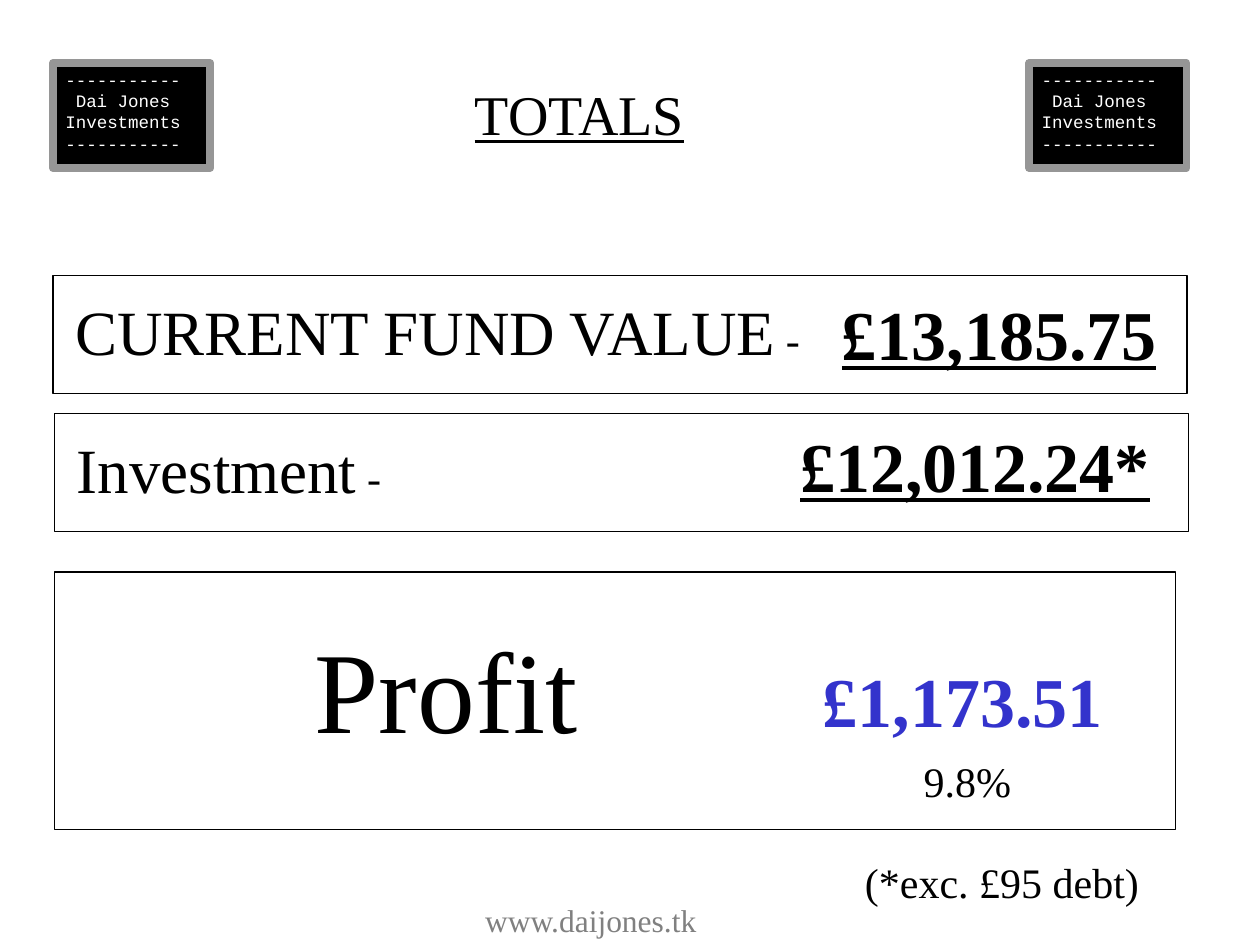
import pptx
import pptx.util
import pptx.dml.color
import pptx.enum.shapes
import pptx.enum.text

Cm = pptx.util.Cm
Pt = pptx.util.Pt
ALIGN = pptx.enum.text.PP_ALIGN
HUES = {
    "ink": "000000",
    "paper": "FFFFFF",
    "frame": "969696",
    "gain": "3333CC",
    "web": "808080",
}


def tint(name):
    """Return the named colour."""
    return pptx.dml.color.RGBColor.from_string(HUES[name])


def add_run(para, text, size, hue="ink", font="Times New Roman", bold=False, under=False):
    """Add one formatted run to a paragraph."""
    run = para.add_run()
    run.text = text
    run.font.name = font
    run.font.size = Pt(size)
    run.font.bold = bold
    run.font.underline = under
    run.font.color.rgb = tint(hue)


def set_frame(frame):
    """Give a text frame its insets, anchor and wrapping."""
    frame.word_wrap = True
    frame.auto_size = pptx.enum.text.MSO_AUTO_SIZE.NONE
    frame.vertical_anchor = pptx.enum.text.MSO_ANCHOR.TOP
    frame.margin_left = frame.margin_right = Cm(0.25)
    frame.margin_top = frame.margin_bottom = Cm(0.13)


def add_title(slide, text):
    """Move and format the title placeholder."""
    title = slide.shapes.title
    title.left, title.top = Cm(9.32), Cm(1.47)
    title.width, title.height = Cm(5.51), Cm(1.63)
    set_frame(title.text_frame)
    para = title.text_frame.paragraphs[0]
    para.alignment = ALIGN.LEFT
    add_run(para, text, 32, under=True)


def add_box(slide, x, y, w, h, line="ink", width=0.75, fill=None):
    """Add a framed rectangle."""
    kind = pptx.enum.shapes.MSO_SHAPE.RECTANGLE
    box = slide.shapes.add_shape(kind, Cm(x), Cm(y), Cm(w), Cm(h))
    box.shadow.inherit = False
    box.line.color.rgb = tint(line)
    box.line.width = Pt(width)
    if fill:
        box.fill.solid()
        box.fill.fore_color.rgb = tint(fill)
    else:
        box.fill.background()
    return box


def add_text(slide, x, y, w, h, runs, align=ALIGN.LEFT):
    """Add a text box holding one paragraph of runs."""
    box = slide.shapes.add_textbox(Cm(x), Cm(y), Cm(w), Cm(h))
    set_frame(box.text_frame)
    para = box.text_frame.paragraphs[0]
    para.alignment = align
    for text, size, style in runs:
        add_run(para, text, size, **style)


def add_sign(slide, x):
    """Add a black name sign."""
    sign = add_box(slide, x, 1.27, 3.17, 2.12, "frame", 4.5, "ink")
    frame = sign.text_frame
    set_frame(frame)
    rule = "-" * 11
    rows = [(rule, 0), ("Dai Jones", 0.21), ("Investments", 0), (rule, 0)]
    for i, (text, inset) in enumerate(rows):
        para = frame.add_paragraph() if i else frame.paragraphs[0]
        para.alignment = ALIGN.LEFT
        para._p.get_or_add_pPr().set("marL", str(Cm(inset)))
        add_run(para, text, 10, "paper", "Courier New")


def add_row(slide, x, y, label, value, left, top):
    """Add a framed row with a label and an amount."""
    add_box(slide, x, y, 22.86, 2.38)
    add_text(slide, x + 0.2, y + 0.21, 16, 1.78, [(label, 36, {}), (" -", 24, {})])
    style = {"bold": True, "under": True}
    add_text(slide, left, top, 7.8, 1.95, [(value, 40, style)])


def add_profit(slide):
    """Add the framed profit panel."""
    add_box(slide, 1.1, 11.53, 22.6, 5.2)
    mid = ALIGN.CENTER
    add_text(slide, 2.7, 12.33, 12.59, 3.04, [("Profit", 66, {})], mid)
    style = {"bold": True, "hue": "gain"}
    add_text(slide, 15.7, 13.12, 7.41, 1.95, [("£1,173.51", 40, style)], mid)
    add_text(slide, 17.3, 15.1, 4.4, 1.27, [("9.8%", 24, {})], mid)


def main():
    """Build and save the totals slide."""
    deck = pptx.Presentation()
    deck.slide_width, deck.slide_height = Cm(25.4), Cm(19.05)
    slide = deck.slides.add_slide(deck.slide_layouts[5])
    add_title(slide, "TOTALS")
    for x in (1.07, 20.75):
        add_sign(slide, x)
    add_row(slide, 1.07, 5.55, "CURRENT FUND VALUE", "£13,185.75", 16.72, 5.73)
    add_row(slide, 1.1, 8.33, "Investment", "£12,012.24*", 15.88, 8.38)
    add_profit(slide)
    add_text(slide, 16.7, 17.14, 7, 1.27, [("(*exc. £95 debt)", 24, {})], ALIGN.CENTER)
    add_text(slide, 9.53, 18.03, 5.28, 1.02, [("www.daijones.tk", 18, {"hue": "web"})])
    deck.save("out.pptx")


if __name__ == "__main__":
    main()
